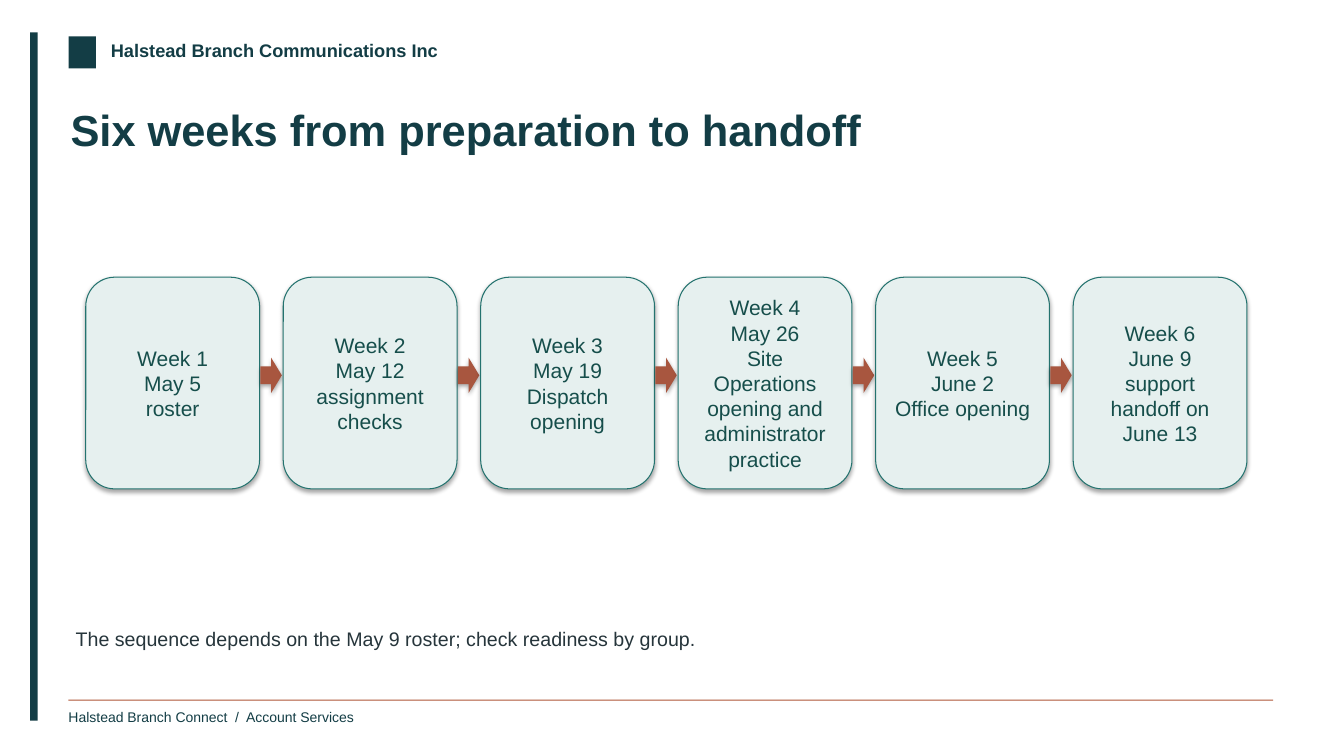
from pptx import Presentation
from pptx import util as u
from pptx.dml.color import RGBColor
from pptx.enum import shapes, text

WIDE, HIGH = u.Inches(13.333), u.Inches(7.5)
FONT = "Arial"
NAVY = RGBColor(0x13, 0x3D, 0x45)
RUST = RGBColor(0xAF, 0x56, 0x36)
CLAY = RGBColor(0xA8, 0x56, 0x3F)
MIST = RGBColor(0xE6, 0xF0, 0xEF)
TEAL = RGBColor(0x24, 0x73, 0x6F)
PINE = RGBColor(0x16, 0x4E, 0x4B)
SLATE = RGBColor(0x26, 0x35, 0x3B)
WEEKS = [
    ("Week 1", "May 5", "roster"),
    ("Week 2", "May 12", "assignment checks"),
    ("Week 3", "May 19", "Dispatch opening"),
    ("Week 4", "May 26", "Site Operations opening and administrator practice"),
    ("Week 5", "June 2", "Office opening"),
    ("Week 6", "June 9", "support handoff on June 13"),
]


def area(left, top, width, height):
    """Turn percentages of the slide into a box of lengths."""
    return (int(WIDE * left / 100), int(HIGH * top / 100),
            int(WIDE * width / 100), int(HIGH * height / 100))


def style(para, size, color, bold=False):
    """Set the font of a whole paragraph."""
    font = para.font
    font.name, font.size, font.bold = FONT, u.Pt(size), bold
    font.color.rgb = color


def fill(frame, words, size, color, bold=False):
    """Put one left-aligned line into a frame without margins."""
    frame.margin_left = frame.margin_right = 0
    frame.margin_top = frame.margin_bottom = 0
    frame.word_wrap = True
    frame.auto_size = text.MSO_AUTO_SIZE.NONE
    frame.vertical_anchor = text.MSO_ANCHOR.TOP
    frame.text = words
    para = frame.paragraphs[0]
    para.alignment = text.PP_ALIGN.LEFT
    style(para, size, color, bold)


def label(slide, box, words, size, color, bold=False):
    """Add a text box with one line."""
    fill(slide.shapes.add_textbox(*box).text_frame, words, size, color, bold)


def block(slide, kind, box, color):
    """Add a filled shape without an outline."""
    shape = slide.shapes.add_shape(kind, *box)
    shape.fill.solid()
    shape.fill.fore_color.rgb = color
    shape.line.fill.background()
    return shape


def frame(slide):
    """Draw the side bar, mark, brand line and footer."""
    for box, color in (
        (area(2.25, 4.27, 0.56, 91.07), NAVY),
        (area(5.1, 4.8, 2.03, 4.27), NAVY),
        (area(5.1, 92.53, 89.63, 0.15), RUST),
    ):
        bar = block(slide, shapes.MSO_SHAPE.RECTANGLE, box, color)
        bar.shadow.inherit = False
    label(slide, area(8.25, 5.2, 32, 3.6),
          "Halstead Branch Communications Inc", 13, NAVY, True)
    label(slide, area(5.1, 93.73, 30, 3.07),
          "Halstead Branch Connect  /  Account Services", 10, NAVY)


def head(slide, box, words):
    """Place and format the title."""
    title = slide.shapes.title
    title.left, title.top, title.width, title.height = box
    fill(title.text_frame, words, 31, NAVY, True)


def card(slide, box, lines):
    """Draw one week as a rounded card."""
    shape = block(slide, shapes.MSO_SHAPE.ROUNDED_RECTANGLE, box, MIST)
    shape.line.color.rgb = TEAL
    shape.line.width = u.Pt(0.75)
    body = shape.text_frame
    body.word_wrap = True
    body.vertical_anchor = text.MSO_ANCHOR.MIDDLE
    body.text = "\n".join(lines)
    for para in body.paragraphs:
        para.alignment = text.PP_ALIGN.CENTER
        style(para, 15, PINE)


def flow(slide, box, weeks):
    """Spread the cards over the box with an arrow in each gap."""
    left, top, width, height = box
    share = 0.88
    pitch = width / (len(weeks) - 1 + share)
    wide, gap = int(pitch * share), pitch * (1 - share)
    for step, lines in enumerate(weeks):
        x = int(left + step * pitch)
        card(slide, (x, top, wide, height), lines)
        if step < len(weeks) - 1:
            spot = (int(x + wide + gap * 0.04), int(top + height * 0.38),
                    int(gap * 0.9), height // 6)
            block(slide, shapes.MSO_SHAPE.RIGHT_ARROW, spot, CLAY)


def main():
    """Build the slide and save it."""
    deck = Presentation()
    deck.slide_width, deck.slide_height = WIDE, HIGH
    slide = deck.slides.add_slide(deck.slide_layouts[5])
    frame(slide)
    head(slide, area(5.25, 13.6, 89.25, 11.47),
         "Six weeks from preparation to handoff")
    label(slide, area(5.63, 82.93, 88.65, 5.87),
          "The sequence depends on the May 9 roster; check readiness by group.",
          14, SLATE)
    flow(slide, area(6.38, 36.67, 86.4, 28), WEEKS)
    deck.save("out.pptx")


if __name__ == "__main__":
    main()
